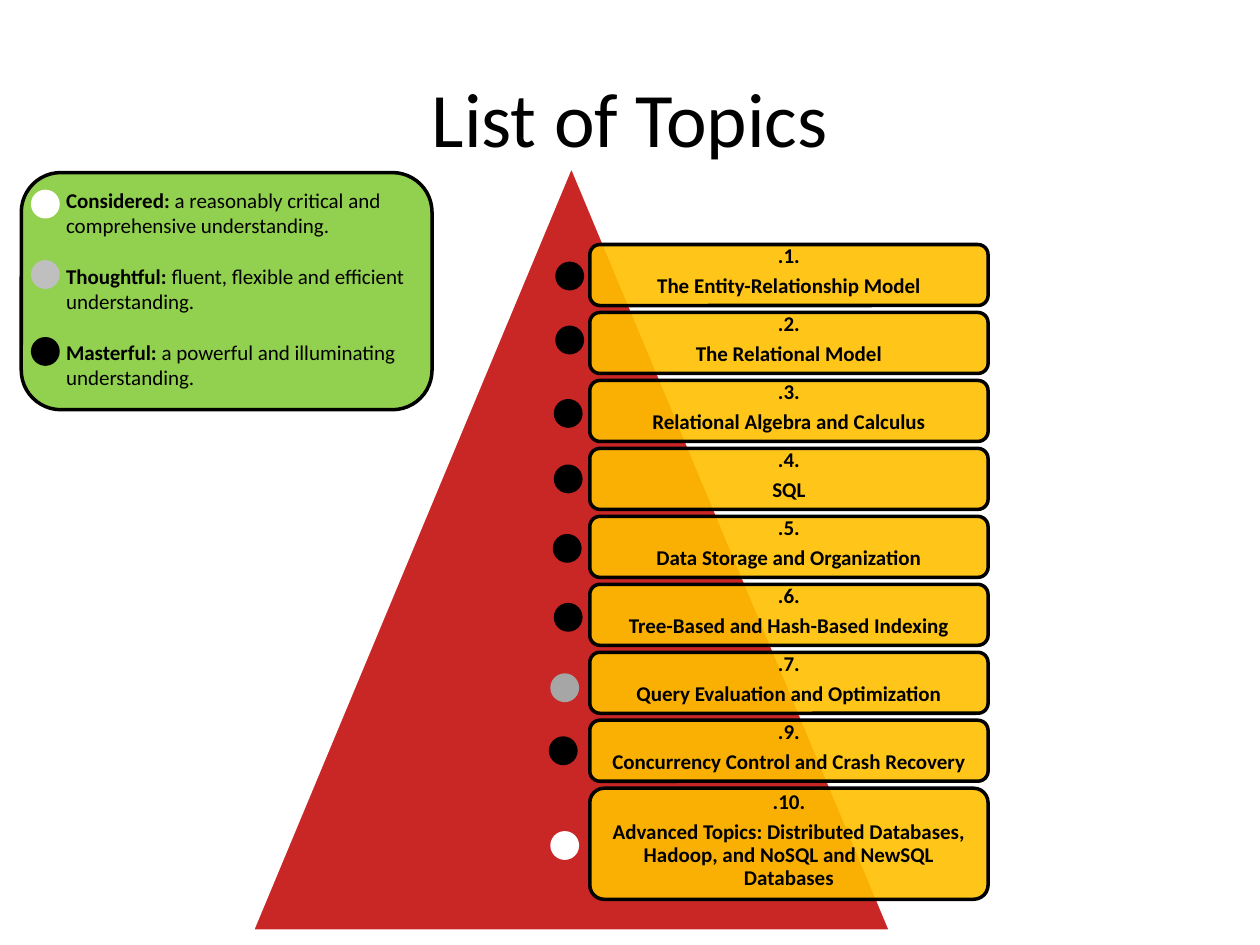
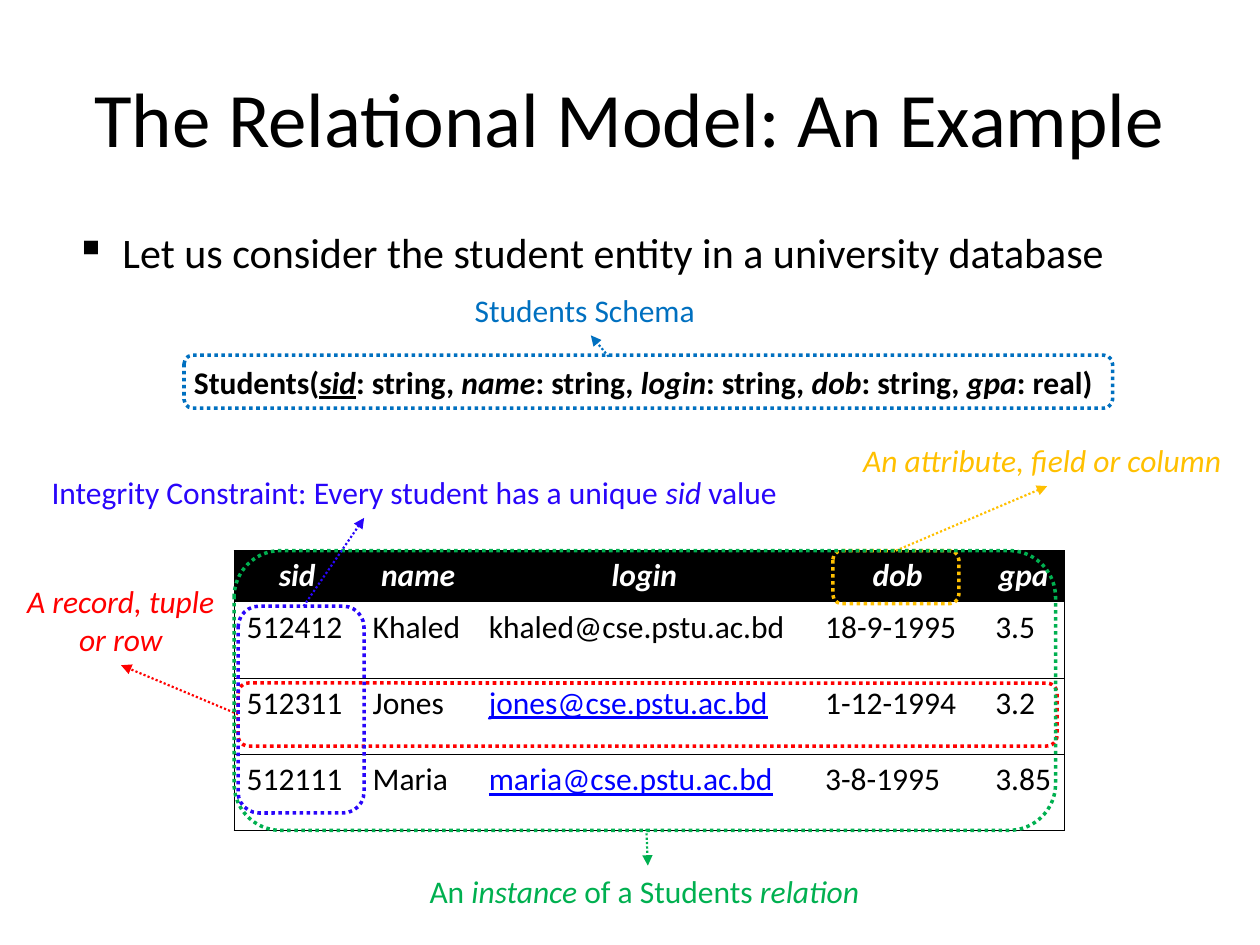
from dataclasses import dataclass
from typing import NamedTuple

from lxml import etree
from pptx import Presentation
from pptx.dml.color import RGBColor
from pptx.enum.dml import MSO_LINE
from pptx.enum.shapes import MSO_CONNECTOR, MSO_SHAPE
from pptx.enum.text import MSO_ANCHOR, PP_ALIGN
from pptx.oxml.ns import qn
from pptx.util import Cm, Pt

OVAL = MSO_SHAPE.OVAL
TRIANGLE = MSO_SHAPE.ISOSCELES_TRIANGLE
ROUNDED = MSO_SHAPE.ROUNDED_RECTANGLE
STRAIGHT = MSO_CONNECTOR.STRAIGHT
DOTTED = MSO_LINE.ROUND_DOT
LEFT, CENTER = PP_ALIGN.LEFT, PP_ALIGN.CENTER
TOP, MIDDLE = MSO_ANCHOR.TOP, MSO_ANCHOR.MIDDLE

FONT = "Calibri"
COLORS = {
    "black": "000000", "white": "FFFFFF", "pyramid": "C00000",
    "amber": "FFC000", "legend": "92D050", "thoughtful": "A6A6A6",
    "thoughtful key": "BFBFBF", "instance": "00B050", "record": "FF0000",
    "schema": "0070C0", "integrity": "2906FA", "email": "0000FF",
}
NO_TABLE_STYLE = "{2D5ABB26-0587-4C30-8999-92F81FD0307C}"


class Box(NamedTuple):
    """Left, top, width and height in centimetres."""
    left: float
    top: float
    width: float
    height: float

    def lengths(self) -> list:
        return [Cm(value) for value in self]


class Words(NamedTuple):
    """Text with any of the marks b (bold), i (italic), u (underline)."""
    text: str
    marks: str = ""


@dataclass
class Topic:
    label: str
    title: str
    level: str
    dot_left: float
    dot_top: float
    height: float = 1.23
    corner: float = 0.167


@dataclass
class Callout:
    color: str
    outline: Box
    leader: tuple
    label: Box
    words: list
    align: int = LEFT
    wrap: bool = False


TITLE_BOX = Box(1.27, 0.76, 22.86, 3.18)

# Slide 1 content
DOT_SIZE = 0.51
TOPIC_LEFT, TOPIC_TOP, TOPIC_WIDTH, TOPIC_STEP = 11.89, 4.93, 8.03, 1.37
TOPICS = [
    Topic(".1.", "The Entity-Relationship Model", "black", 11.23, 5.31),
    Topic(".2.", "The Relational Model", "black", 11.23, 6.6),
    Topic(".3.", "Relational Algebra and Calculus", "black", 11.2, 8.08),
    Topic(".4.", "SQL", "black", 11.2, 9.4),
    Topic(".5.", "Data Storage and Organization", "black", 11.18, 10.8),
    Topic(".6.", "Tree-Based and Hash-Based Indexing", "black", 11.2, 12.19),
    Topic(".7.", "Query Evaluation and Optimization", "thoughtful", 11.13, 13.61),
    Topic(".9.", "Concurrency Control and Crash Recovery", "black", 11.1, 14.88),
    Topic(".10.", "Advanced Topics: Distributed Databases, Hadoop, and NoSQL "
          "and NewSQL Databases", "white", 11.13, 16.79, 2.24, 0.13),
]
LEGEND = [
    ("white", 3.86, "Considered:",
     " a reasonably critical and comprehensive understanding."),
    ("thoughtful key", 5.28, "Thoughtful:",
     " fluent, flexible and efficient understanding."),
    ("black", 6.83, "Masterful:",
     " a powerful and illuminating understanding."),
]

# Slide 2 content
SCHEMA = [
    Words("Students(", "b"), Words("sid", "biu"), Words(": string, ", "b"),
    Words("name", "bi"), Words(": string, ", "b"),
    Words("login", "bi"), Words(": string, ", "b"),
    Words("dob", "bi"), Words(": string, ", "b"),
    Words("gpa", "bi"), Words(": real)", "b"),
]
STUDENTS = [
    ("sid", "name", "login", "dob", "gpa"),
    ("512412", "Khaled", "khaled@cse.pstu.ac.bd", "18-9-1995", "3.5"),
    ("512311", "Jones", "jones@cse.pstu.ac.bd", "1-12-1994", "3.2"),
    ("512111", "Maria", "maria@cse.pstu.ac.bd", "3-8-1995", "3.85"),
]
LINKED_EMAILS = {"jones@cse.pstu.ac.bd", "maria@cse.pstu.ac.bd"}
COLUMN_WIDTHS = (2.54, 2.34, 6.78, 3.43, 1.65)
ROW_HEIGHTS = (1.03, 1.54, 1.54, 1.54)
CALLOUTS = [
    Callout("amber", Box(16.79, 11.1, 2.54, 1.07), (18.06, 11.1, 21.11, 9.8),
            Box(17.15, 8.76, 7.92, 1.02),
            [Words("An attribute, field or column", "i")]),
    Callout("record", Box(4.8, 13.77, 16.51, 1.27), (4.8, 14.4, 2.44, 13.41),
            Box(0.2, 11.61, 4.47, 1.8),
            [Words("A record, tuple or row", "i")], CENTER, True),
    Callout("instance", Box(4.72, 11.1, 16.56, 5.64), (13.03, 16.71, 13.06, 17.45),
            Box(8.41, 17.45, 9.3, 1.02),
            [Words("An "), Words("instance", "i"),
             Words(" of a Students "), Words("relation", "i")]),
    Callout("schema", Box(3.71, 7.16, 18.72, 1.07), (12.27, 7.19, 11.91, 6.76),
            Box(9.32, 5.74, 5.18, 1.02), [Words("Students Schema")]),
    Callout("integrity", Box(4.8, 12.22, 2.54, 4.17), (6.12, 12.22, 7.34, 10.44),
            Box(0.79, 9.42, 15.32, 1.02),
            [Words("Integrity Constraint: Every student has a unique "),
             Words("sid", "i"), Words(" value")]),
]


def rgb(color: str) -> RGBColor:
    return RGBColor.from_string(COLORS[color])


def apply(target, **values) -> None:
    for name, value in values.items():
        setattr(target, name, value)


def write(paragraph, words: list, size: float, color: str, align=LEFT) -> None:
    paragraph.alignment = align
    for part in words:
        run = paragraph.add_run()
        run.text = part.text
        apply(run.font, name=FONT, size=Pt(size), bold="b" in part.marks,
              italic="i" in part.marks, underline="u" in part.marks)
        run.font.color.rgb = rgb(color)


def add_text(slide, box: Box, words: list, size: float, color="black",
             align=LEFT, anchor=TOP, wrap=True):
    frame = slide.shapes.add_textbox(*box.lengths()).text_frame
    apply(frame, word_wrap=wrap, vertical_anchor=anchor)
    write(frame.paragraphs[0], words, size, color, align)
    return frame.paragraphs[0]


def add_shape(slide, kind, box: Box, fill: str | None, line: str, opacity=100):
    shape = slide.shapes.add_shape(kind, *box.lengths())
    shape.shadow.inherit = False
    if fill is None:
        shape.fill.background()
    else:
        shape.fill.solid()
        shape.fill.fore_color.rgb = rgb(fill)
    if opacity < 100:
        tint = shape.element.spPr.find(qn("a:solidFill"))[0]
        etree.SubElement(tint, qn("a:alpha"), val=str(opacity * 1000))
    shape.line.color.rgb = rgb(line)
    shape.line.width = Pt(2)
    return shape


def add_dot(slide, left: float, top: float, color: str) -> None:
    add_shape(slide, OVAL, Box(left, top, DOT_SIZE, DOT_SIZE), color, color)


def add_topic(slide, topic: Topic, top: float) -> None:
    box = Box(TOPIC_LEFT, top, TOPIC_WIDTH, topic.height)
    shape = add_shape(slide, ROUNDED, box, "amber", "black", 90)
    shape.adjustments[0] = topic.corner
    frame = shape.text_frame
    apply(frame, word_wrap=True, vertical_anchor=MIDDLE, margin_left=Cm(0.12),
          margin_right=Cm(0.12), margin_top=Cm(0.12), margin_bottom=Cm(0.25))
    for paragraph, text in ((frame.paragraphs[0], topic.label),
                            (frame.add_paragraph(), topic.title)):
        write(paragraph, [Words(text, "b")], 12, "black", CENTER)
        apply(paragraph, line_spacing=0.9, space_after=Pt(4.2))
    add_dot(slide, topic.dot_left, topic.dot_top, topic.level)


def add_legend(slide) -> None:
    panel = add_shape(slide, ROUNDED, Box(0.43, 3.48, 8.28, 4.78), "legend", "black")
    frame = panel.text_frame
    apply(frame, word_wrap=True, vertical_anchor=TOP, margin_left=Cm(0.67),
          margin_right=0, margin_top=Cm(0.07), margin_bottom=0)
    for index, (color, dot_top, level, meaning) in enumerate(LEGEND):
        paragraph = frame.add_paragraph() if index else frame.paragraphs[0]
        write(paragraph, [Words(level, "b"), Words(meaning)], 12, "black")
        if index:
            paragraph.space_before = Pt(14.6)
        add_dot(slide, 0.66, dot_top, color)


def add_callout(slide, callout: Callout) -> None:
    outline = add_shape(slide, ROUNDED, callout.outline, None, callout.color)
    outline.line.dash_style = DOTTED
    leader = slide.shapes.add_connector(STRAIGHT, *map(Cm, callout.leader))
    leader.line.color.rgb = rgb(callout.color)
    apply(leader.line, width=Pt(1.25), dash_style=DOTTED)
    properties = leader.element.spPr
    etree.SubElement(properties.find(qn("a:ln")), qn("a:tailEnd"), type="triangle")
    etree.SubElement(properties, qn("a:effectLst"))
    add_text(slide, callout.label, callout.words, 18, callout.color,
             callout.align, wrap=callout.wrap)


def add_border(cell, side: str) -> None:
    line = etree.SubElement(cell._tc.get_or_add_tcPr(), qn(f"a:ln{side}"),
                            w=str(Pt(0.75)))
    fill = etree.SubElement(line, qn("a:solidFill"))
    etree.SubElement(fill, qn("a:srgbClr"), val=COLORS["black"])


def add_students(slide) -> None:
    box = Box(4.72, 11.1, sum(COLUMN_WIDTHS), sum(ROW_HEIGHTS))
    table = slide.shapes.add_table(len(STUDENTS), len(COLUMN_WIDTHS),
                                   *box.lengths()).table
    apply(table, first_row=False, horz_banding=False)
    table._tbl.tblPr.find(qn("a:tableStyleId")).text = NO_TABLE_STYLE
    for column, width in zip(table.columns, COLUMN_WIDTHS):
        column.width = Cm(width)
    for row, height in zip(table.rows, ROW_HEIGHTS):
        row.height = Cm(height)
    last = len(COLUMN_WIDTHS) - 1
    for r, record in enumerate(STUDENTS):
        for c, value in enumerate(record):
            cell = table.cell(r, c)
            # Horizontal rules everywhere, vertical ones only at the sides
            for side, shown in (("L", c == 0), ("R", c == last),
                                ("T", True), ("B", True)):
                if shown:
                    add_border(cell, side)
            paragraph = cell.text_frame.paragraphs[0]
            if r == 0:
                cell.fill.solid()
                cell.fill.fore_color.rgb = rgb("black")
                write(paragraph, [Words(value, "bi")], 18, "white", CENTER)
            else:
                cell.fill.background()
                linked = value in LINKED_EMAILS
                write(paragraph, [Words(value, "u" if linked else "")], 18,
                      "email" if linked else "black")


def new_slide(deck, title: str):
    slide = deck.slides.add_slide(deck.slide_layouts[6])
    add_text(slide, TITLE_BOX, [Words(title)], 44, align=CENTER, anchor=MIDDLE)
    return slide


def build_topics(deck) -> None:
    slide = new_slide(deck, "List of Topics")
    add_shape(slide, TRIANGLE, Box(5.08, 3.33, 12.88, 15.44), "pyramid", "white", 85)
    for index, topic in enumerate(TOPICS):
        add_topic(slide, topic, TOPIC_TOP + index * TOPIC_STEP)
    add_legend(slide)


def build_example(deck) -> None:
    slide = new_slide(deck, "The Relational Model: An Example")
    intro = add_text(slide, Box(1.27, 4.45, 22.86, 1.3), [Words(
        "Let us consider the student entity in a university database")], 24)
    indent = intro._p.get_or_add_pPr()
    indent.set("marL", str(Cm(0.95)))
    indent.set("indent", str(Cm(-0.95)))
    etree.SubElement(indent, qn("a:buChar"), char="▪")
    add_students(slide)
    add_text(slide, Box(3.66, 7.19, 18.8, 1.02), SCHEMA, 18, wrap=False)
    for callout in CALLOUTS:
        add_callout(slide, callout)


def main() -> None:
    deck = Presentation()
    apply(deck, slide_width=Cm(25.4), slide_height=Cm(19.05))
    build_topics(deck)
    build_example(deck)
    deck.save("out.pptx")


if __name__ == "__main__":
    main()
